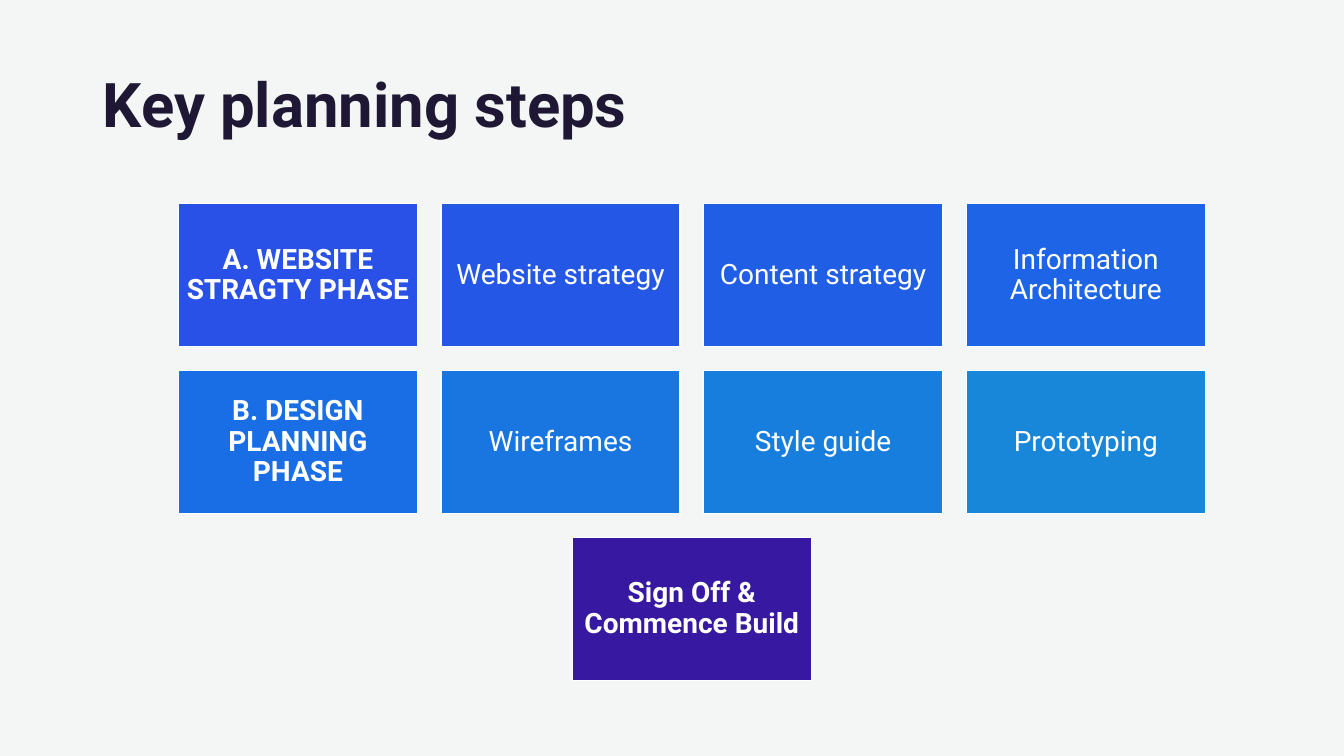
from dataclasses import dataclass

from pptx import Presentation
from pptx import util as u
from pptx.dml.color import RGBColor
from pptx.enum import shapes, text

WHITE = RGBColor(0xFF, 0xFF, 0xFF)
BACKGROUND = RGBColor(0xF4, 0xF6, 0xF5)
INK = RGBColor(0x1E, 0x18, 0x34)
FONT = "Roboto"
BOX_W, BOX_H = 2.37, 1.42
LEFT, TOP = 1.77, 2.02
STEP_X, STEP_Y = 2.605, 1.655


@dataclass(frozen=True)
class Step:
    label: str
    fill: RGBColor
    column: float
    row: int
    bold: bool = False


STEPS = [
    Step("A. WEBSITE STRAGTY PHASE", RGBColor(0x29, 0x50, 0xE7), 0, 0, True),
    Step("Website strategy", RGBColor(0x25, 0x57, 0xE7), 1, 0),
    Step("Content strategy", RGBColor(0x21, 0x5E, 0xE6), 2, 0),
    Step("Information Architecture", RGBColor(0x1D, 0x65, 0xE6), 3, 0),
    Step("B. DESIGN PLANNING PHASE", RGBColor(0x19, 0x6D, 0xE5), 0, 1, True),
    Step("Wireframes", RGBColor(0x19, 0x76, 0xE1), 1, 1),
    Step("Style guide", RGBColor(0x18, 0x7E, 0xDD), 2, 1),
    Step("Prototyping", RGBColor(0x18, 0x86, 0xD9), 3, 1),
    Step("Sign Off & Commence Build", RGBColor(0x37, 0x19, 0xA1), 1.5, 2, True),
]


def write(sp, content: str, *, size: float, color: RGBColor, bold: bool = False,
          align=text.PP_ALIGN.LEFT, anchor=text.MSO_ANCHOR.TOP,
          inset_x: float = 0.1, inset_y: float = 0.05, spacing: float = 1.0) -> None:
    tf = sp.text_frame
    tf.word_wrap = True
    tf.vertical_anchor = anchor
    tf.margin_left = tf.margin_right = u.Inches(inset_x)
    tf.margin_top = tf.margin_bottom = u.Inches(inset_y)
    p = tf.paragraphs[0]
    p.alignment = align
    p.line_spacing = spacing
    r = p.add_run()
    r.text = content
    r.font.name = FONT
    r.font.size = u.Pt(size)
    r.font.bold = bold
    r.font.color.rgb = color


def draw_step(s, step: Step) -> None:
    sp = s.shapes.add_shape(
        shapes.MSO_SHAPE.RECTANGLE,
        u.Inches(LEFT + step.column * STEP_X), u.Inches(TOP + step.row * STEP_Y),
        u.Inches(BOX_W), u.Inches(BOX_H))
    sp.shadow.inherit = False
    sp.fill.solid()
    sp.fill.fore_color.rgb = step.fill
    sp.line.color.rgb = WHITE
    sp.line.width = u.Pt(1)
    write(sp, step.label, size=20, color=WHITE, bold=step.bold,
          align=text.PP_ALIGN.CENTER, anchor=text.MSO_ANCHOR.MIDDLE,
          inset_x=0.08, inset_y=0.08, spacing=0.9)


def main() -> None:
    prs = Presentation()
    prs.slide_width, prs.slide_height = u.Inches(13.33), u.Inches(7.5)
    s = prs.slides.add_slide(prs.slide_layouts[6])
    s.background.fill.solid()
    s.background.fill.fore_color.rgb = BACKGROUND
    title = s.shapes.add_textbox(
        u.Inches(0.92), u.Inches(0.61), u.Inches(11.32), u.Inches(1.4))
    write(title, "Key planning steps", size=44, color=INK, bold=True)
    for step in STEPS:
        draw_step(s, step)
    prs.save("out.pptx")


if __name__ == "__main__":
    main()
